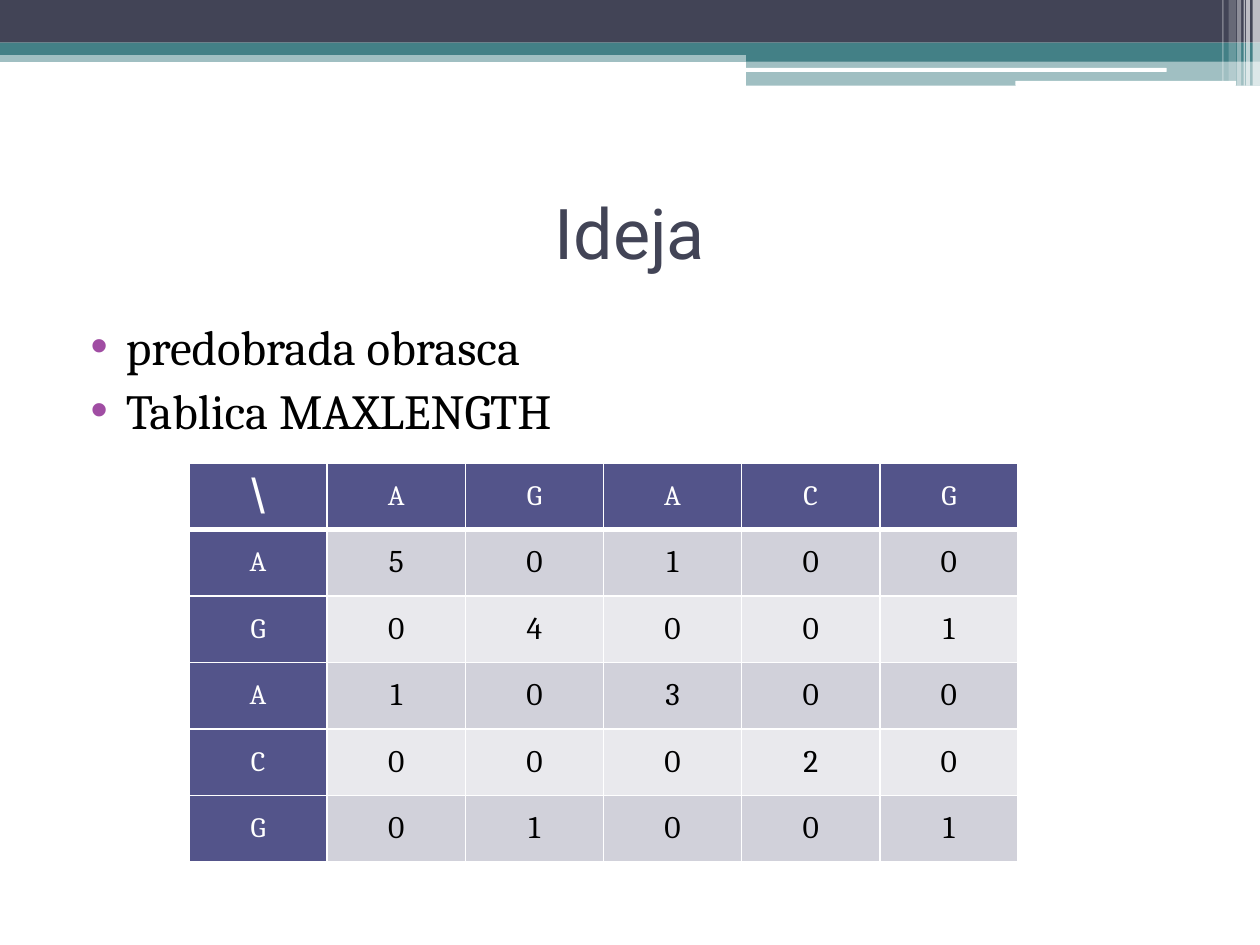
from lxml.etree import SubElement
from pptx import Presentation
from pptx.dml.color import RGBColor
from pptx.enum.shapes import MSO_SHAPE
from pptx.enum.text import MSO_ANCHOR, PP_ALIGN
from pptx.oxml.ns import qn
from pptx.util import Cm, Pt

DARK, TEAL, WHITE, BLACK = "424456", "438086", "FFFFFF", "000000"
HEAD, BANDS = "53548A", ("D1D1DA", "E9E9ED")
SERIF = "Cambria"


def color(code):
    return RGBColor.from_string(code)


def lengths(*nums):
    return [Cm(num) for num in nums]


def add_run(para, text, size, font, code):
    run = para.add_run()
    run.text = text
    run.font.size = Pt(size)
    run.font.name = font
    run.font.bold = False
    run.font.color.rgb = color(code)


def add_bar(slide, kind, x, y, w, h, code, alpha=100):
    bar = slide.shapes.add_shape(kind, *lengths(x, y, w, h))
    bar.shadow.inherit = False
    bar.line.fill.background()
    bar.fill.solid()
    bar.fill.fore_color.rgb = color(code)
    if alpha < 100:
        tint = bar.fill._xPr.find(qn("a:solidFill"))[0]
        SubElement(tint, qn("a:alpha"), val=str(alpha * 1000))


def add_banner(slide, x, y, w, h):
    rect, rounded = MSO_SHAPE.RECTANGLE, MSO_SHAPE.ROUNDED_RECTANGLE
    half = 15.04
    bars = [
        (rect, 0, 1.02, w, 0.23, TEAL, 50),
        (rect, 0, 0, w, 0.86, DARK),
        (rect, 0, 0.86, w, 0.25, TEAL),
        (rect, half, 0.99, w - half, 0.25, TEAL),
        (rect, half, 1.23, w - half, 0.5, TEAL, 50),
        (rounded, 15.01, 1.37, 8.51, 0.08, WHITE),
        (rounded, 20.47, 1.63, 4.45, 0.1, WHITE),
    ]
    stripes = [
        (0.15, 0.15, h, 65), (0.28, 0.08, h, 65), (0.33, 0.03, h, 60),
        (0.46, 0.08, h, 40), (0.63, 0.15, h - 0.1, 20),
        (0.76, 0.03, h - 0.1, 30),
    ]
    bars += [(rect, w - back, 0, wide, tall, WHITE, alpha)
             for back, wide, tall, alpha in stripes]
    for kind, left, top, *rest in bars:
        add_bar(slide, kind, x + left, y + top, *rest)


def add_frame(slide, x, y, w, h):
    frame = slide.shapes.add_textbox(*lengths(x, y, w, h)).text_frame
    frame.word_wrap = True
    return frame


def add_title(slide, x, y, w, h, text):
    frame = add_frame(slide, x, y, w, h)
    frame.vertical_anchor = MSO_ANCHOR.MIDDLE
    para = frame.paragraphs[0]
    para.alignment = PP_ALIGN.CENTER
    add_run(para, text, 40, "Roboto", DARK)


def add_list(slide, x, y, w, h, items):
    frame = add_frame(slide, x, y, w, h)
    for num, item in enumerate(items):
        para = frame.add_paragraph() if num else frame.paragraphs[0]
        para.space_before = Pt(3)
        props = para._p.get_or_add_pPr()
        props.set("marL", str(Cm(1.02)))
        props.set("indent", str(-Cm(0.71)))
        tint = SubElement(props, qn("a:buClr"))
        SubElement(tint, qn("a:srgbClr"), val="A04DA3")
        SubElement(props, qn("a:buFont"), typeface="Arial")
        SubElement(props, qn("a:buChar"), char="•")
        add_run(para, item, 28, SERIF, BLACK)


def add_edges(cell, base):
    props = cell._tc.get_or_add_tcPr()
    for side, width in (("L", 1), ("R", 1), ("T", 1), ("B", base)):
        line = SubElement(props, qn(f"a:ln{side}"), w=str(Pt(width)))
        fill = SubElement(line, qn("a:solidFill"))
        SubElement(fill, qn("a:srgbClr"), val=WHITE)


def fill_cell(cell, text, row, col):
    head = row == 0 or col == 0
    add_edges(cell, 3 if row == 0 else 1)
    cell.fill.solid()
    cell.fill.fore_color.rgb = color(HEAD if head else BANDS[(row - 1) % 2])
    cell.vertical_anchor = MSO_ANCHOR.MIDDLE
    cell.margin_left = cell.margin_right = Cm(0.18)
    cell.margin_top = cell.margin_bottom = 0
    para = cell.text_frame.paragraphs[0]
    para.alignment = PP_ALIGN.CENTER
    para.space_before = para.space_after = Pt(6)
    if row == col == 0:
        add_run(para, text, 28, "Arial", WHITE)
    elif head:
        add_run(para, text, 16, SERIF, WHITE)
    else:
        add_run(para, text, 18, SERIF, BLACK)


def add_grid(slide, x, y, w, h, rows):
    count, width = len(rows), len(rows[0])
    table = slide.shapes.add_table(count, width, *lengths(x, y, w, h)).table
    table.first_row = table.horz_banding = False
    for line in table.rows:
        line.height = Cm(h / count)
    for line in table.columns:
        line.width = Cm(w / width)
    for row, texts in enumerate(rows):
        for col, text in enumerate(texts):
            fill_cell(table.cell(row, col), text, row, col)


def main():
    deck = Presentation()
    deck.slide_width, deck.slide_height = lengths(25.4, 19.05)
    slide = deck.slides.add_slide(deck.slide_layouts[6])
    add_banner(slide, 0, 0, 25.4, 1.73)
    add_title(slide, 1.27, 3.18, 22.86, 2.97, "Ideja")
    add_list(slide, 1.27, 6.25, 22.86, 12.01,
             ["predobrada obrasca", "Tablica MAXLENGTH"])
    word = "AGACG"
    values = ["50100", "04001", "10300", "00020", "01001"]
    rows = ["\\" + word] + [key + row for key, row in zip(word, values)]
    add_grid(slide, 3.81, 9.33, 16.71, 8.05, rows)
    deck.save("out.pptx")


if __name__ == "__main__":
    main()
